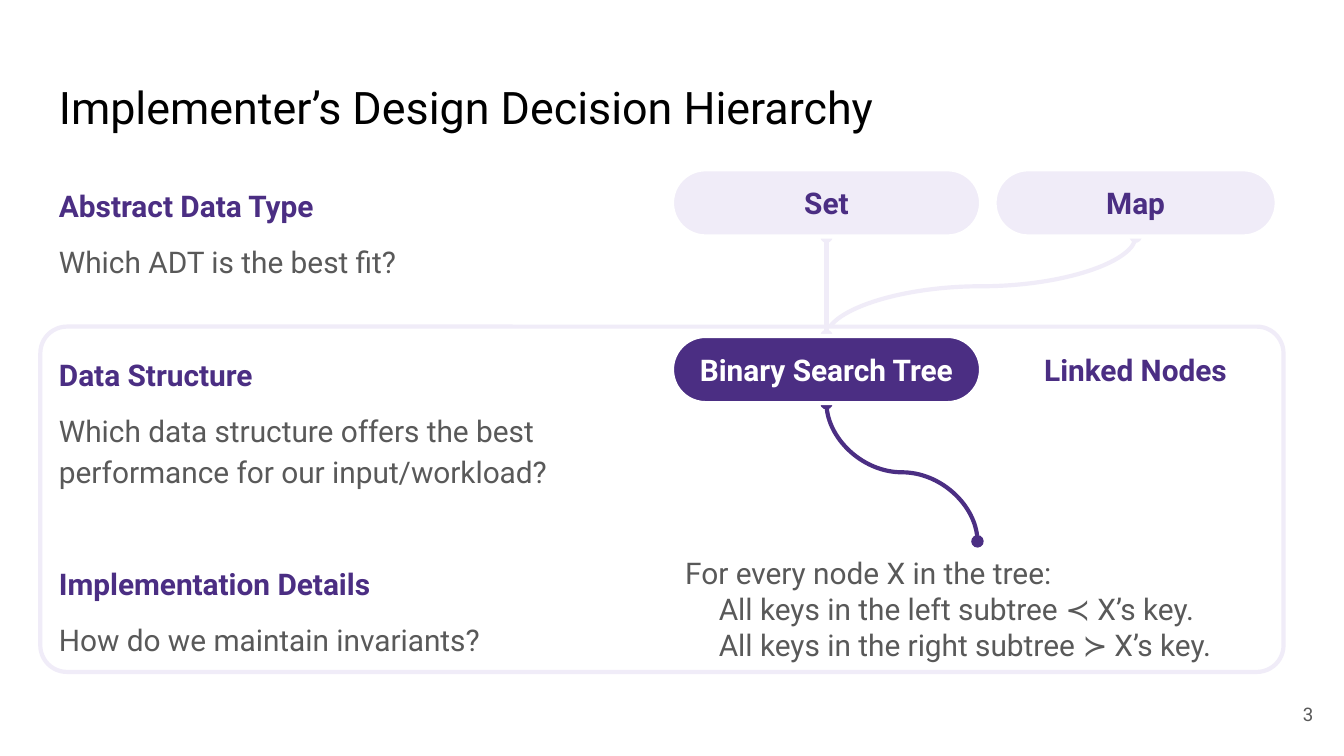
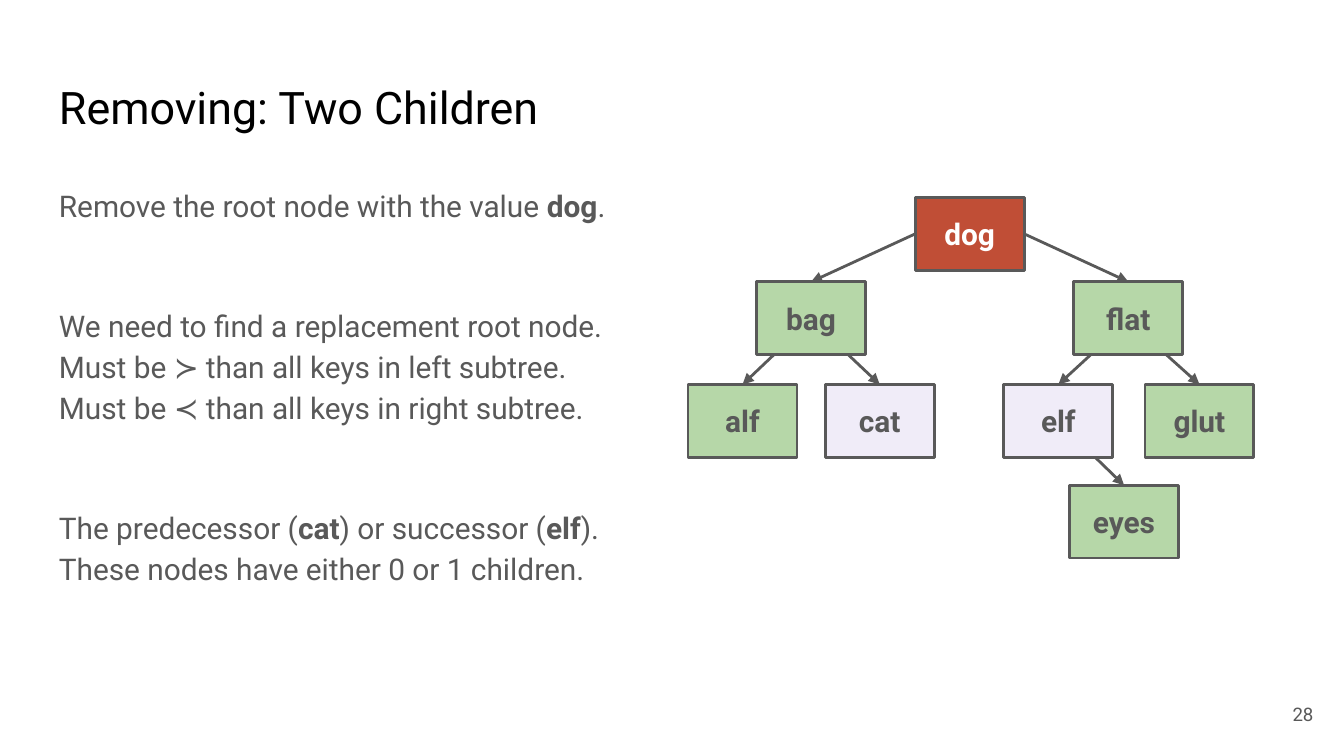
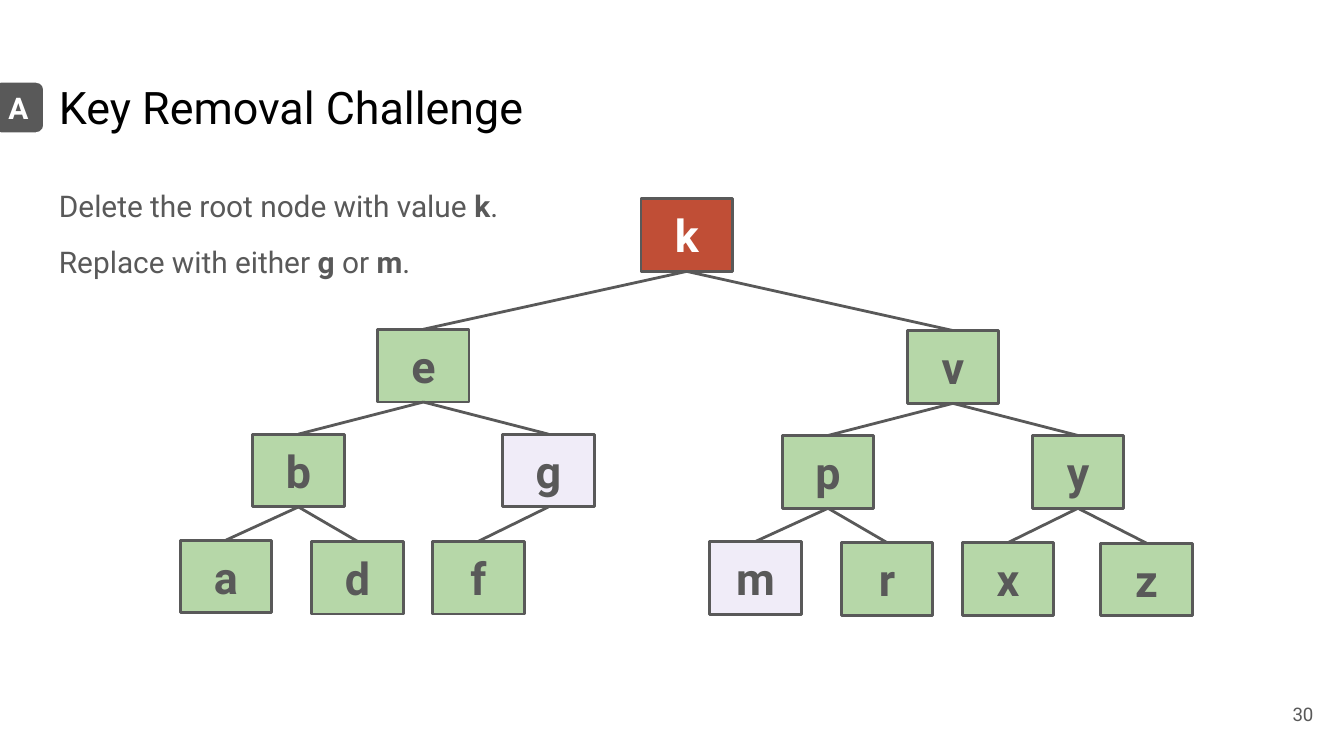
from dataclasses import dataclass

from lxml import etree
from pptx import Presentation
from pptx.dml.color import RGBColor
from pptx.enum.shapes import MSO_CONNECTOR, MSO_SHAPE
from pptx.enum.text import MSO_ANCHOR, PP_ALIGN
from pptx.oxml.ns import qn
from pptx.util import Pt

RECT, ROUND = MSO_SHAPE.RECTANGLE, MSO_SHAPE.ROUNDED_RECTANGLE
LINE, CURVE = MSO_CONNECTOR.STRAIGHT, MSO_CONNECTOR.CURVE
LEFT, MID, RIGHT = PP_ALIGN.LEFT, PP_ALIGN.CENTER, PP_ALIGN.RIGHT
TOP, MIDDLE = MSO_ANCHOR.TOP, MSO_ANCHOR.MIDDLE

FONT = "Roboto"
COLORS = {
    "white": "FFFFFF", "black": "000000", "gray": "595959",
    "purple": "4B2E83", "lilac": "F0ECF8", "green": "B6D7A8", "red": "C04E36",
}
BODY = (24.5, 90.7, 311, 269.3)


@dataclass
class Box:
    left: float
    top: float
    width: float
    height: float

    @property
    def mid(self) -> float:
        return self.left + self.width / 2

    @property
    def foot(self) -> float:
        return self.top + self.height

    def lengths(self) -> list:
        return [Pt(n) for n in (self.left, self.top, self.width, self.height)]


@dataclass
class Para:
    text: str
    before: float = 0
    color: str = "gray"
    bold: bool = False
    indent: float = 0


@dataclass
class Pill:
    text: str
    box: Box
    fill: str
    color: str = "purple"


@dataclass
class Node:
    name: str
    box: Box
    fill: str = "green"


def rgb(name: str) -> RGBColor:
    return RGBColor.from_string(COLORS[name])


def write(shape, paras: list[Para], *, size: float = 16, align=LEFT,
          anchor=TOP, leading: float | None = None) -> None:
    """Fill a shape with text; *stars* toggle bold and a newline breaks the line."""
    frame = shape.text_frame
    frame.word_wrap = True
    frame.vertical_anchor = anchor
    frame.margin_left = frame.margin_right = Pt(7.2)
    frame.margin_top = frame.margin_bottom = Pt(7.2)
    for i, para in enumerate(paras):
        line = frame.add_paragraph() if i else frame.paragraphs[0]
        line.alignment = align
        if leading:
            line.line_spacing = leading
        if para.before:
            line.space_before = Pt(para.before)
        if para.indent:
            props = line._p.get_or_add_pPr()
            props.set("marL", str(Pt(para.indent)))
            props.set("indent", "0")
        for j, part in enumerate(para.text.split("*")):
            for k, words in enumerate(part.split("\n")):
                if k:
                    line.add_line_break()
                run = line.add_run()
                run.text = words
                run.font.name = FONT
                run.font.size = Pt(size)
                run.font.bold = para.bold or j % 2 == 1
                run.font.color.rgb = rgb(para.color)


def label(slide, box: Box, paras: list[Para], **style) -> None:
    write(slide.shapes.add_textbox(*box.lengths()), paras, **style)


def block(slide, kind, box: Box, fill: str, edge: str, width: float,
          round: float | None = None):
    shape = slide.shapes.add_shape(kind, *box.lengths())
    shape.shadow.inherit = False
    shape.fill.solid()
    shape.fill.fore_color.rgb = rgb(fill)
    shape.line.color.rgb = rgb(edge)
    shape.line.width = Pt(width)
    if round is not None:
        shape.adjustments[0] = round
    return shape


def link(slide, kind, start: tuple, end: tuple, color: str, width: float,
         head: str = "", tail: str = ""):
    wire = slide.shapes.add_connector(kind, *[Pt(n) for n in (*start, *end)])
    wire.line.color.rgb = rgb(color)
    wire.line.width = Pt(width)
    props = wire._element.spPr
    for tag, tip in (("a:headEnd", head), ("a:tailEnd", tail)):
        if tip:
            etree.SubElement(props.find(qn("a:ln")), qn(tag), type=tip)
    etree.SubElement(props, qn("a:effectLst"))
    return wire


def bend(slide, start: tuple, end: tuple, color: str) -> None:
    """Draw an S-curve that leaves its lower start and meets its end upright."""
    (x1, y1), (x2, y2) = start, end
    x, y = (x1 + x2) / 2, (y1 + y2) / 2
    half, rise = (y1 - y2) / 2, abs(x2 - x1) / 2
    turn = 270
    if x2 < x1:
        turn, half = 90, -half
    wire = link(slide, CURVE, (x - half, y - rise), (x + half, y + rise),
                color, 2.25, "oval", "oval")
    wire._element.spPr.find(qn("a:xfrm")).set("rot", str(turn * 60000))


def start(deck, title: str, page: int, width: float = 311):
    """Add a slide with its title and page number."""
    slide = deck.slides.add_slide(deck.slide_layouts[6])
    label(slide, Box(24.5, 35.3, width, 45.4), [Para(title, color="black")], size=24)
    label(slide, Box(667.5, 367.2, 43.2, 31), [Para(str(page))],
          size=10, align=RIGHT, anchor=MIDDLE)
    return slide


def body(slide, paras: list[Para]) -> None:
    label(slide, Box(*BODY), paras, leading=1.15)


def badge(slide, pill: Pill, round: float = 0.5) -> None:
    shape = block(slide, ROUND, pill.box, pill.fill, "white", 2.25, round)
    write(shape, [Para(pill.text, color=pill.color, bold=True)],
          align=MID, anchor=MIDDLE)


def draw(slide, nodes: list[Node], size: float) -> None:
    for node in nodes:
        shape = block(slide, RECT, node.box, node.fill, "gray", 1.5)
        color = "white" if node.fill == "red" else "gray"
        write(shape, [Para(node.name, color=color, bold=True)],
              size=size, align=MID, anchor=MIDDLE)


def join(slide, nodes: list[Node], pairs: list[str], dx: float, dy: float,
         tail: str = "") -> None:
    """Link parent to child, from (dx, dy) off the parent's centre to the child's top."""
    boxes = {node.name: node.box for node in nodes}
    for pair in pairs:
        root, kid = [boxes[name] for name in pair.split()]
        side = 1 if kid.mid > root.mid else -1
        begin = (root.mid + side * dx, root.top + root.height / 2 + dy)
        link(slide, LINE, begin, (kid.mid, kid.top), "gray", 1.5, tail=tail)


def design(deck) -> None:
    slide = start(deck, "Implementer’s Design Decision Hierarchy", 3, 663)
    near, far = (360, 165.6), (532.8, 151.2)
    tops, high = (90.7, 180), 36
    kind = Pill("Set", Box(near[0], tops[0], near[1], high), "lilac")
    table = Pill("Map", Box(far[0], tops[0], far[1], high), "lilac")
    tree = Pill("Binary Search Tree", Box(near[0], tops[1], near[1], high),
                "purple", "white")
    nodes = Pill("Linked Nodes", Box(far[0], tops[1], far[1], high), "white")

    crown = (tree.box.mid, tree.box.top)
    bend(slide, crown, (table.box.mid, table.box.foot), "lilac")
    block(slide, ROUND, Box(21.6, 175, 666, 185), "white", "lilac", 2.25, 0.077)
    bend(slide, (523.7, 290), (tree.box.mid, tree.box.foot), "purple")
    bend(slide, crown, (kind.box.mid, kind.box.foot), "lilac")
    body(slide, [
        Para("Abstract Data Type", 0, "purple", True),
        Para("Which ADT is the best fit?", 8),
        Para("Data Structure", 38, "purple", True),
        Para("Which data structure offers the best performance "
             "for our input/workload?", 8),
        Para("Implementation Details", 38, "purple", True),
        Para("How do we maintain invariants?", 8),
    ])
    for pill in (kind, tree, nodes, table):
        badge(slide, pill)
    label(slide, Box(360, 290, 327.6, 72), [
        Para("For every node X in the tree:"),
        Para("All keys in the left subtree ≺ X’s key.", indent=18),
        Para("All keys in the right subtree ≻ X’s key.", indent=18),
    ])


def remove(deck) -> None:
    slide = start(deck, "Removing: Two Children", 28)
    body(slide, [
        Para("Remove the root node with the value *dog*."),
        Para("We need to find a replacement root node.\n"
             "Must be ≻ than all keys in left subtree.\n"
             "Must be ≺ than all keys in right subtree.", 42),
        Para("The predecessor (*cat*) or successor (*elf*). "
             "These nodes have either 0 or 1 children.", 42),
    ])
    spots = [
        ("dog", 490.3, 105.8, "red"),
        ("bag", 405.3, 151, "green"), ("flat", 575.3, 151, "green"),
        ("alf", 368.6, 206, "green"), ("cat", 442.1, 206, "lilac"),
        ("elf", 537.8, 206, "lilac"), ("glut", 613.4, 206, "green"),
        ("eyes", 573, 260, "green"),
    ]
    wide, high = 58.4, 39
    nodes = [Node(name, Box(x, y, wide, high), fill) for name, x, y, fill in spots]
    join(slide, nodes, ["bag alf", "bag cat", "flat elf", "flat glut", "elf eyes"],
         13, 13, "triangle")
    join(slide, nodes, ["dog bag", "dog flat"], wide / 2, 0, "triangle")
    draw(slide, nodes, 16)


def quiz(deck) -> None:
    slide = start(deck, "Key Removal Challenge", 30)
    body(slide, [
        Para("Delete the root node with value *k*."),
        Para("Replace with either *g* or *m*.", 8),
    ])
    badge(slide, Pill("A", Box(-4.5, 43.2, 28.8, 28.8), "gray", "white"), 0.167)

    wide, high = 49, 39
    half = [(202.3, 176.4), (135.4, 232.6), (269.3, 232.6),
            (96.5, 289.4), (167, 290), (231.8, 290)]
    spots = [("k", 343.4, 106.4), ("z", 589.7, 291)]
    for names, dx, dy in (("ebgadf", 0, 0), ("vpymrx", 283.7, 0.7)):
        spots += [(name, x + dx, y + dy) for name, (x, y) in zip(names, half)]
    fills = {"k": "red", "g": "lilac", "m": "lilac"}
    nodes = [Node(name, Box(x, y, wide, high), fills.get(name, "green"))
             for name, x, y in spots]
    draw(slide, nodes, 24)
    kids = {"k": "ev", "e": "bg", "b": "ad", "g": "f",
            "v": "py", "p": "mr", "y": "xz"}
    pairs = [f"{root} {kid}" for root, names in kids.items() for kid in names]
    join(slide, nodes, pairs, 0, high / 2)


def main() -> None:
    deck = Presentation()
    deck.slide_width, deck.slide_height = Pt(720), Pt(405)
    for build in (design, remove, quiz):
        build(deck)
    deck.save("out.pptx")


if __name__ == "__main__":
    main()
